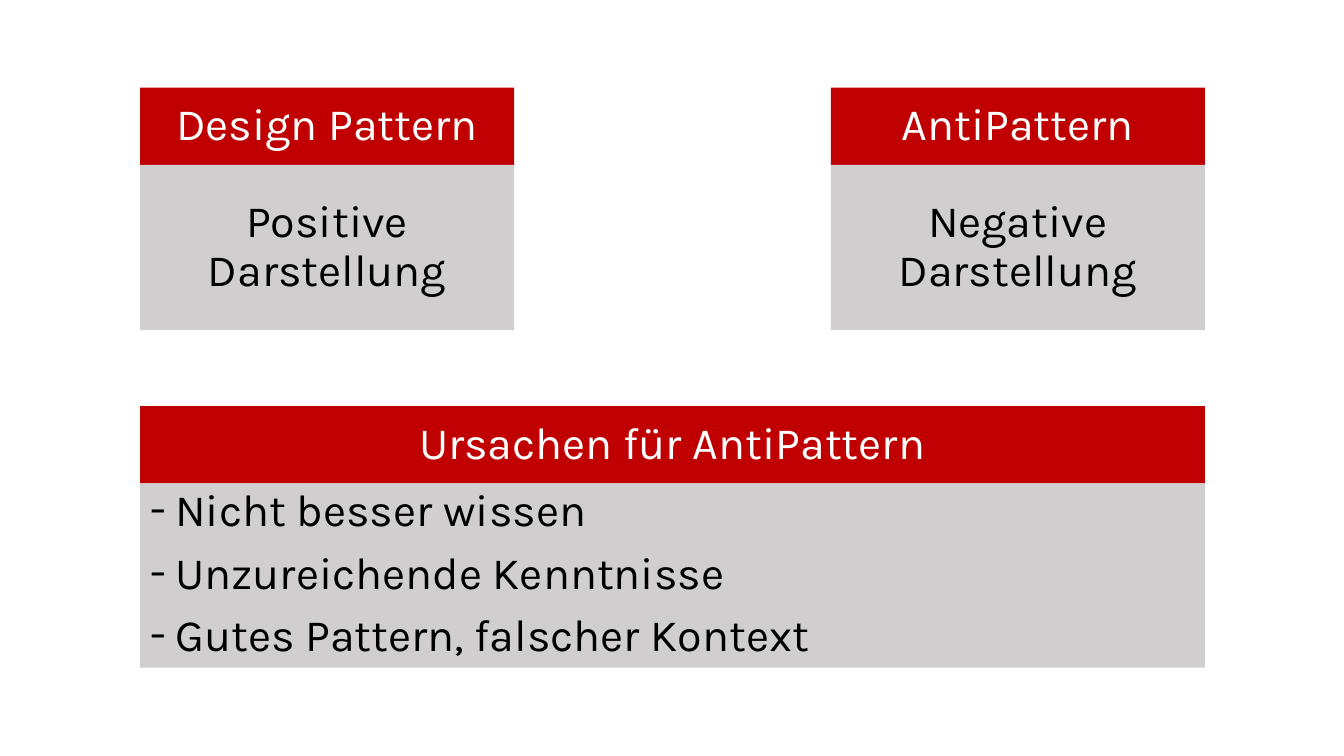
from lxml import etree
from pptx import Presentation
from pptx.dml.color import RGBColor
from pptx.enum.shapes import MSO_SHAPE as Shape
from pptx.enum.text import MSO_ANCHOR as Anchor, PP_ALIGN as Align
from pptx.oxml.ns import qn
from pptx.util import Inches, Pt

RED = RGBColor(0xC0, 0x00, 0x00)
GREY = RGBColor(0xD0, 0xCE, 0xCE)
WHITE = RGBColor(0xFF, 0xFF, 0xFF)
BLACK = RGBColor(0x00, 0x00, 0x00)
FONT = "Karla"

LEFT, RIGHT = 1.39, 11.95
CARD_WIDTH = 3.71
HEADER_HEIGHT = 0.765


def add_dash(para):
    """Give the paragraph a hanging dash as its bullet."""
    props = para._p.get_or_add_pPr()
    props.set("marL", str(Inches(0.25)))
    props.set("indent", str(Inches(-0.25)))
    etree.SubElement(props, qn("a:buFont")).set("typeface", FONT)
    etree.SubElement(props, qn("a:buChar")).set("char", "-")


def add_block(group, left, top, width, height, fill, color, lines, bulleted=False):
    """Draw one filled rectangle with its text."""
    box = group.shapes.add_shape(
        Shape.RECTANGLE, Inches(left), Inches(top), Inches(width), Inches(height))
    box.shadow.inherit = False
    box.fill.solid()
    box.fill.fore_color.rgb = fill
    box.line.fill.background()
    frame = box.text_frame
    frame.word_wrap = True
    frame.vertical_anchor = Anchor.TOP if bulleted else Anchor.MIDDLE
    for index, line in enumerate(lines):
        para = frame.add_paragraph() if index else frame.paragraphs[0]
        para.alignment = Align.LEFT if bulleted else Align.CENTER
        para.line_spacing = 0.9
        para.space_before = Pt(10)
        if bulleted:
            add_dash(para)
        span = para.add_run()
        span.text = line
        span.font.name = FONT
        span.font.size = Pt(32)
        span.font.color.rgb = color


def add_card(page, left, top, width, body_height, title, lines, bulleted=False):
    """Group a red header with the grey body below it."""
    group = page.shapes.add_group_shape()
    add_block(group, left, top, width, HEADER_HEIGHT, RED, WHITE, [title])
    add_block(group, left, top + HEADER_HEIGHT, width, body_height,
              GREY, BLACK, lines, bulleted)


def main():
    deck = Presentation()
    deck.slide_width, deck.slide_height = Inches(13.33), Inches(7.5)
    page = deck.slides.add_slide(deck.slide_layouts[6])

    # Two definitions side by side
    add_card(page, LEFT, 0.87, CARD_WIDTH, 1.64,
             "Design Pattern", ["Positive Darstellung"])
    add_card(page, RIGHT - CARD_WIDTH, 0.87, CARD_WIDTH, 1.64,
             "AntiPattern", ["Negative Darstellung"])

    # Causes across the full width
    causes = ["Nicht besser wissen", "Unzureichende Kenntnisse",
              "Gutes Pattern, falscher Kontext"]
    add_card(page, LEFT, 4.03, RIGHT - LEFT, 1.83,
             "Ursachen für AntiPattern", causes, bulleted=True)

    deck.save("out.pptx")


if __name__ == "__main__":
    main()
